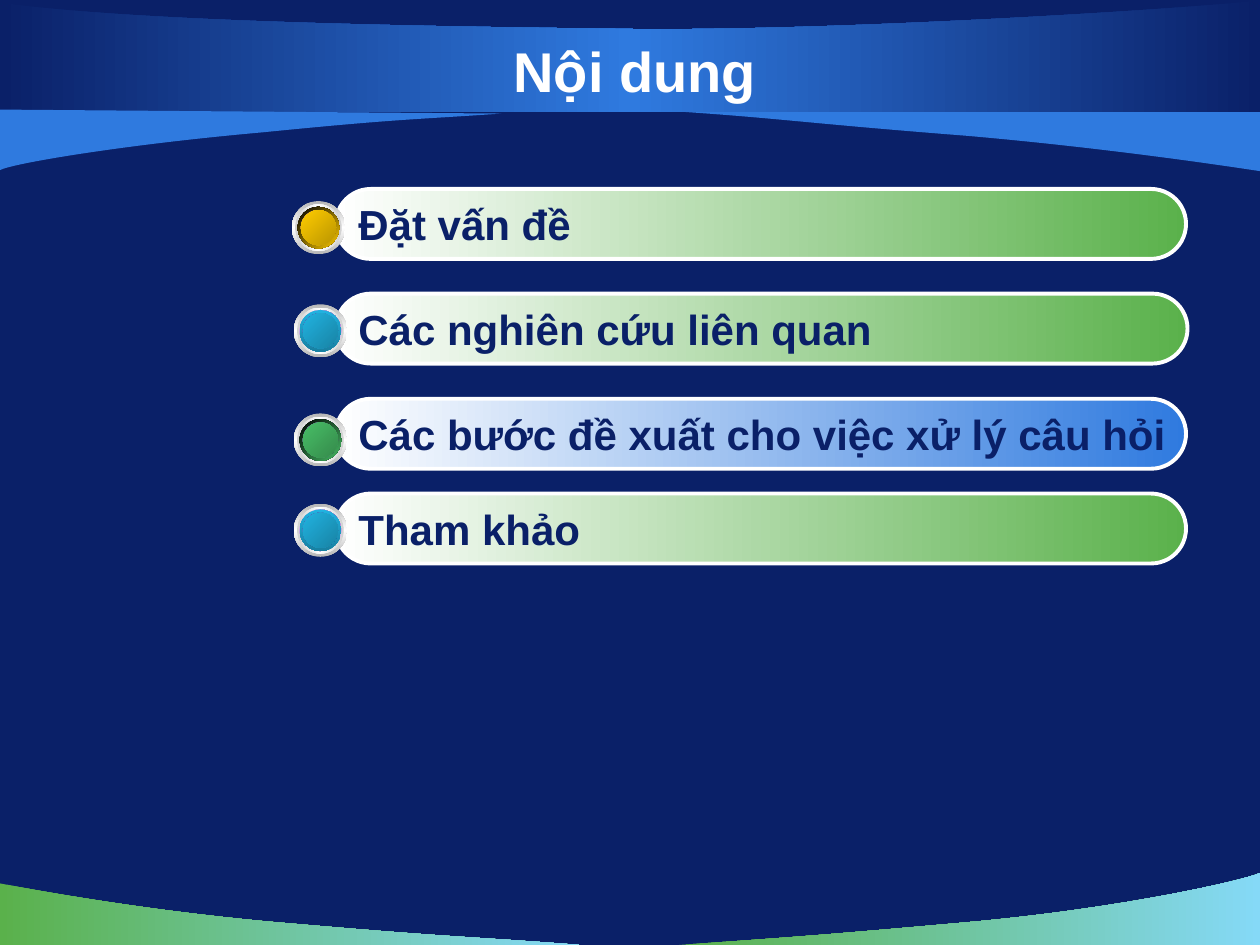
from lxml.etree import SubElement
from pptx import Presentation
from pptx.dml.color import RGBColor
from pptx.enum.shapes import MSO_SHAPE
from pptx.enum.text import MSO_ANCHOR, PP_ALIGN
from pptx.oxml.ns import qn
from pptx.util import Cm, Pt

NAVY, BLUE, GREEN, SKY, WHITE = "0A2068", "2F7ADF", "5AB14B", "85D9F7", "FFFFFF"
PURPLE, DARK_PURPLE = "8A52C8", "6A3F99"

# Start point, two cubic curves (control, control, end), closing corners, colours
WAVES = [
    ((11.68, 19.05),
     [((9.75, 18.9), (9.09, 18.9), (5.89, 18.62)),
      ((2.69, 18.36), (0.03, 17.81), (0, 17.81))],
     [(0, 19.05)], [GREEN, SKY]),
    ((13.69, 19.05),
     [((15.6, 18.92), (16.41, 18.87), (19.53, 18.59)),
      ((22.66, 18.31), (25.15, 17.73), (25.4, 17.6))],
     [(25.4, 19.05)], [GREEN, SKY]),
    ((13.82, 2.26),
     [((15.75, 2.39), (16.31, 2.49), (19.51, 2.74)),
      ((22.71, 3.02), (25.37, 3.45), (25.4, 3.45))],
     [(25.4, 2.24)], [BLUE]),
    ((25.4, 0),
     [((24.49, 0.15), (16.59, 0.66), (12.37, 0.58)),
      ((8.15, 0.53), (2.57, 0.43), (0, 0.05))],
     [(0, 2.26), (25.4, 2.26)], [NAVY, BLUE, NAVY]),
    ((10.11, 2.29),
     [((8.41, 2.41), (8.08, 2.39), (5.28, 2.67)),
      ((2.46, 2.92), (0.23, 3.3), (0, 3.43))],
     [(0, 2.21)], [BLUE]),
]

# Rim colours, rim angle and face colours of each button
GOLD_BUTTON = (["000000", "FFCC00"], 45, ["FFCC00", "BA9500"])
CYAN_BUTTON = (["21B3E1", "1880A1"], 90, ["21B3E1", "1883A4"])
GREEN_BUTTON = (["000000", "48BE67"], 45, ["48BE67", "358B4B"])

# Text, bar top, bar width, bar colour, button centre, button colours
AGENDA = [
    ("Đặt vấn đề", 3.81, 17.14, GREEN, (6.42, 4.59), GOLD_BUTTON),
    ("Các nghiên cứu liên quan", 5.92, 17.17, GREEN, (6.46, 6.67), CYAN_BUTTON),
    ("Các bước đề xuất cho việc xử lý câu hỏi", 8.04, 17.14, BLUE,
     (6.46, 8.87), GREEN_BUTTON),
    ("Tham khảo", 9.95, 17.14, GREEN, (6.46, 10.69), CYAN_BUTTON),
]


def color(hex_value):
    """Turn a hex string into a colour."""
    return RGBColor.from_string(hex_value)


def paint(shape, colors, angle=0):
    """Fill a shape with one colour or an even gradient, clockwise angle."""
    shape.shadow.inherit = False
    if len(colors) == 1:
        shape.fill.solid()
        shape.fill.fore_color.rgb = color(colors[0])
        return
    shape.fill.gradient()
    shape.fill.gradient_angle = (360 - angle) % 360
    stops = shape._element.spPr.find(".//" + qn("a:gsLst"))
    for stop in list(stops):
        stops.remove(stop)
    for index, hex_value in enumerate(colors):
        position = str(100000 * index // (len(colors) - 1))
        stop = SubElement(stops, qn("a:gs"), pos=position)
        SubElement(stop, qn("a:srgbClr"), val=hex_value)


def write(shape, text, size, hex_value):
    """Put one bold, vertically centred line of text in a shape."""
    frame = shape.text_frame
    frame.text = text
    frame.vertical_anchor = MSO_ANCHOR.MIDDLE
    font = frame.paragraphs[0].runs[0].font
    font.name, font.size, font.bold = "Arial", Pt(size), True
    font.color.rgb = color(hex_value)
    return frame


def bend(shape, curve_count):
    """Turn each three leading line segments into one cubic curve."""
    segments = list(shape._element.iter(qn("a:lnTo")))
    for index in range(0, 3 * curve_count, 3):
        curve, *others = segments[index:index + 3]
        curve.tag = qn("a:cubicBezTo")
        for segment in others:
            curve.append(segment[0])
            segment.getparent().remove(segment)


def add_wave(slide, start, curves, corners, colors):
    """Draw a band with one curved edge."""
    points = [point for curve in curves for point in curve] + corners
    builder = slide.shapes.build_freeform(Cm(start[0]), Cm(start[1]))
    builder.add_line_segments([(Cm(x), Cm(y)) for x, y in points], close=True)
    wave = builder.convert_to_shape()
    bend(wave, len(curves))
    paint(wave, colors)
    wave.line.fill.background()


def add_title(slide, text):
    """Add the centred slide title."""
    title = slide.shapes.add_textbox(Cm(1.27), Cm(0.63), Cm(23.06), Cm(1.57))
    frame = write(title, text, 32, WHITE)
    frame.word_wrap = True
    frame.paragraphs[0].alignment = PP_ALIGN.CENTER


def add_bar(slide, text, top, width, end_color):
    """Add a rounded agenda bar with its text."""
    bar = slide.shapes.add_shape(
        MSO_SHAPE.ROUNDED_RECTANGLE, Cm(6.77), Cm(top), Cm(width), Cm(1.41))
    bar.adjustments[0] = 0.5
    paint(bar, [WHITE, end_color])
    bar.line.color.rgb = color(WHITE)
    bar.line.width = Pt(2.25)
    frame = write(bar, text, 24, NAVY)
    frame.word_wrap = False
    frame.paragraphs[0].alignment = PP_ALIGN.LEFT


def add_button(slide, center, rim, rim_angle, face):
    """Add a group of concentric discs that form a round button."""
    discs = [
        (1.07, ["B6B6B6", WHITE, "B6B6B6"], 90),
        (0.94, ["D1D1D1", WHITE, "D1D1D1"], 0),
        (0.84, [WHITE, PURPLE, WHITE], 45),
        (0.84, rim, rim_angle),
        (0.71, [DARK_PURPLE, PURPLE, DARK_PURPLE], 315),
        (0.71, face, 45),
    ]
    group = slide.shapes.add_group_shape()
    for diameter, colors, angle in discs:
        left, top = (Cm(middle - diameter / 2) for middle in center)
        disc = group.shapes.add_shape(
            MSO_SHAPE.OVAL, left, top, Cm(diameter), Cm(diameter))
        paint(disc, colors, angle)
        disc.line.fill.background()


def main():
    """Build the agenda slide and save it."""
    presentation = Presentation()
    presentation.slide_width, presentation.slide_height = Cm(25.4), Cm(19.05)
    slide = presentation.slides.add_slide(presentation.slide_layouts[6])
    slide.background.fill.solid()
    slide.background.fill.fore_color.rgb = color(NAVY)
    for wave in WAVES:
        add_wave(slide, *wave)
    add_title(slide, "Nội dung")
    for text, top, width, end_color, center, button in AGENDA:
        add_bar(slide, text, top, width, end_color)
        add_button(slide, center, *button)
    presentation.save("out.pptx")


main()
